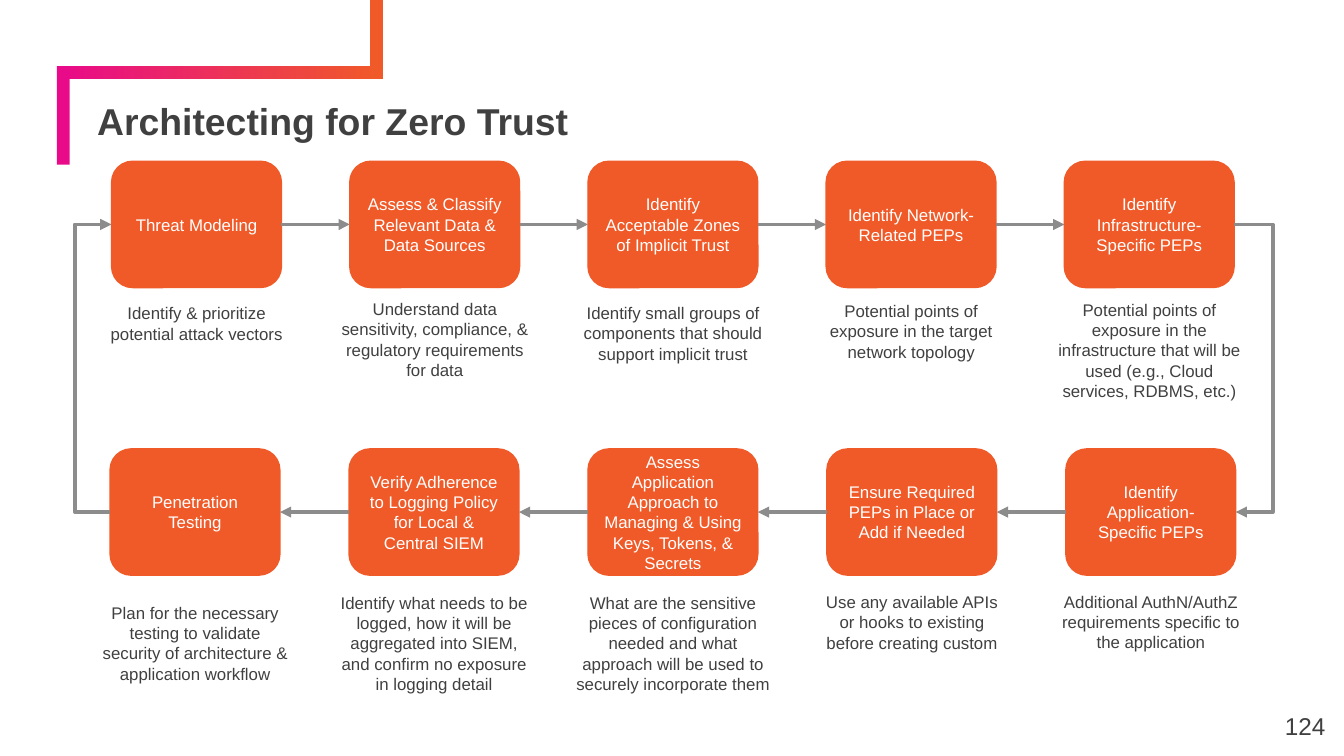
import pptx
import pptx.util
import pptx.dml.color
import pptx.enum.shapes
import pptx.enum.text
import pptx.oxml.ns
import lxml.etree

Pt = pptx.util.Pt
RGBColor = pptx.dml.color.RGBColor
Shape = pptx.enum.shapes.MSO_SHAPE
Line = pptx.enum.shapes.MSO_CONNECTOR
Align = pptx.enum.text.PP_ALIGN
Anchor = pptx.enum.text.MSO_ANCHOR
qn = pptx.oxml.ns.qn

ORANGE = RGBColor(0xF0, 0x5A, 0x28)
PINK = RGBColor(0xE8, 0x0A, 0x89)
DARK = RGBColor(0x40, 0x40, 0x40)
GRAY = RGBColor(0x8C, 0x8C, 0x8C)
WHITE = RGBColor(0xFF, 0xFF, 0xFF)

WIDE, HIGH = 91, 67.7
NOTE = 111.6
TOP, LOW = 86.4, 240.5

FIRST = [
    ("Threat Modeling", "Identify & prioritize potential attack vectors", 29.5),
    ("Assess & Classify Relevant Data & Data Sources",
     "Understand data sensitivity, compliance, & regulatory requirements for data", 46.8),
    ("Identify Acceptable Zones of Implicit Trust",
     "Identify small groups of components that should support implicit trust", 40.3),
    ("Identify Network-Related PEPs",
     "Potential points of exposure in the target network topology", 38.2),
    ("Identify Infrastructure-Specific PEPs",
     "Potential points of exposure in the infrastructure that will be used "
     "(e.g., Cloud services, RDBMS, etc.)", 58.3),
]
SECOND = [
    ("Penetration Testing",
     "Plan for the necessary testing to validate security of architecture "
     "& application workflow", 61.2),
    ("Verify Adherence to Logging Policy for Local & Central SIEM",
     "Identify what needs to be logged, how it will be aggregated into SIEM, "
     "and confirm no exposure in logging detail", 61.2),
    ("Assess Application Approach to Managing & Using Keys, Tokens, & Secrets",
     "What are the sensitive pieces of configuration needed and what approach "
     "will be used to securely incorporate them", 61.2),
    ("Ensure Required PEPs in Place or Add if Needed",
     "Use any available APIs or hooks to existing before creating custom", 38.9),
    ("Identify Application-Specific PEPs",
     "Additional AuthN/AuthZ requirements specific to the application", 38.2),
]


class Deck:
    font = "Arial"

    def __init__(self, slide):
        self.slide = slide
        self.shapes = slide.shapes

    def letter(self, shape, text, size, color, align, anchor, pad, bold=False):
        frame = shape.text_frame
        frame.text = text
        frame.word_wrap = True
        frame.auto_size = pptx.enum.text.MSO_AUTO_SIZE.NONE
        frame.vertical_anchor = anchor
        frame.margin_left = frame.margin_right = Pt(pad[0])
        frame.margin_top = frame.margin_bottom = Pt(pad[1])
        para = frame.paragraphs[0]
        para.alignment = align
        font = para.runs[0].font
        font.name, font.size, font.bold = self.font, Pt(size), bold
        font.color.rgb = color
        return para

    def title(self, text, x, y, w, h):
        shape = self.shapes.title
        shape.left, shape.top, shape.width, shape.height = Pt(x), Pt(y), Pt(w), Pt(h)
        para = self.letter(shape, text, 20, DARK, Align.LEFT, Anchor.BOTTOM, (3.6, 3.6), True)
        para.line_spacing = 0.9

    def bar(self, x, y, w, h, color, fade=None):
        shape = self.shapes.add_shape(Shape.RECTANGLE, Pt(x), Pt(y), Pt(w), Pt(h))
        shape.shadow.inherit = False
        shape.line.fill.background()
        if fade is None:
            shape.fill.solid()
            shape.fill.fore_color.rgb = color
        else:
            shape.fill.gradient()
            shape.fill.gradient_angle = 0
            for stop, shade in zip(shape.fill.gradient_stops, (color, fade)):
                stop.color.rgb = shade

    def box(self, text, x, y):
        shape = self.shapes.add_shape(Shape.ROUNDED_RECTANGLE, Pt(x), Pt(y), Pt(WIDE), Pt(HIGH))
        shape.shadow.inherit = False
        shape.fill.solid()
        shape.fill.fore_color.rgb = ORANGE
        shape.line.color.rgb = ORANGE
        shape.line.width = Pt(0.75)
        self.letter(shape, text, 9, WHITE, Align.CENTER, Anchor.MIDDLE, (5, 2.9))

    def label(self, text, x, y, w, h, size=9, align=Align.CENTER,
              anchor=Anchor.MIDDLE, pad=(5, 2.9)):
        shape = self.shapes.add_textbox(Pt(x), Pt(y), Pt(w), Pt(h))
        self.letter(shape, text, size, DARK, align, anchor, pad)

    def arrow(self, x1, y1, x2, y2, bend=None, end="tailEnd"):
        kind = Line.STRAIGHT if bend is None else Line.ELBOW
        link = self.shapes.add_connector(kind, Pt(x1), Pt(y1), Pt(x2), Pt(y2))
        link.line.color.rgb = GRAY
        link.line.width = Pt(2)
        props = link._element.spPr
        lxml.etree.SubElement(props.find(qn("a:ln")), qn("a:" + end), type="triangle")
        lxml.etree.SubElement(props, qn("a:effectLst"))
        if bend is not None:
            ratio = round((bend - x1) / (x2 - x1) * 100000)
            guides = props.find(qn("a:prstGeom")).get_or_add_avLst()
            lxml.etree.SubElement(guides, qn("a:gd"), name="adj1", fmla=f"val {ratio}")

    def row(self, steps, edges, y, gap):
        for (head, note, high), x in zip(steps, edges):
            wide = 118.8 if head.startswith("Assess App") else NOTE
            self.box(head, x, y)
            self.label(note, x + (WIDE - wide) / 2, y + gap, wide, high)


def main():
    show = pptx.Presentation()
    show.slide_width, show.slide_height = Pt(720), Pt(405)
    deck = Deck(show.slides.add_slide(show.slide_layouts[5]))

    deck.bar(30.5, 35.4, 174.7, 6.9, PINK, ORANGE)
    deck.bar(30.5, 35.4, 6.9, 52.8, PINK)
    deck.bar(198.3, 0, 6.9, 42.3, ORANGE)
    deck.title("Architecting for Zero Trust", 48.4, 56.2, 650, 24.5)

    upper = [59.8 + 127.6 * i for i in range(5)]
    lower = [59 + 128 * i for i in range(5)]
    deck.row(FIRST, upper, TOP, 72)
    deck.row(SECOND, lower, LOW, 73.4)

    high, low = TOP + HIGH / 2, LOW + HIGH / 2
    for a, b in zip(upper, upper[1:]):
        deck.arrow(a + WIDE, high, b, high)
    for a, b in zip(lower, lower[1:]):
        deck.arrow(b, low, a + WIDE, low)
    deck.arrow(upper[-1] + WIDE, high, lower[-1] + WIDE, low, 682)
    deck.arrow(upper[0], high, lower[0], low, 40, "headEnd")

    deck.label("124", 673.9, 373.7, 43.2, 31, 13, Align.RIGHT, Anchor.TOP, (7.2, 7.2))
    show.save("out.pptx")


if __name__ == "__main__":
    main()
